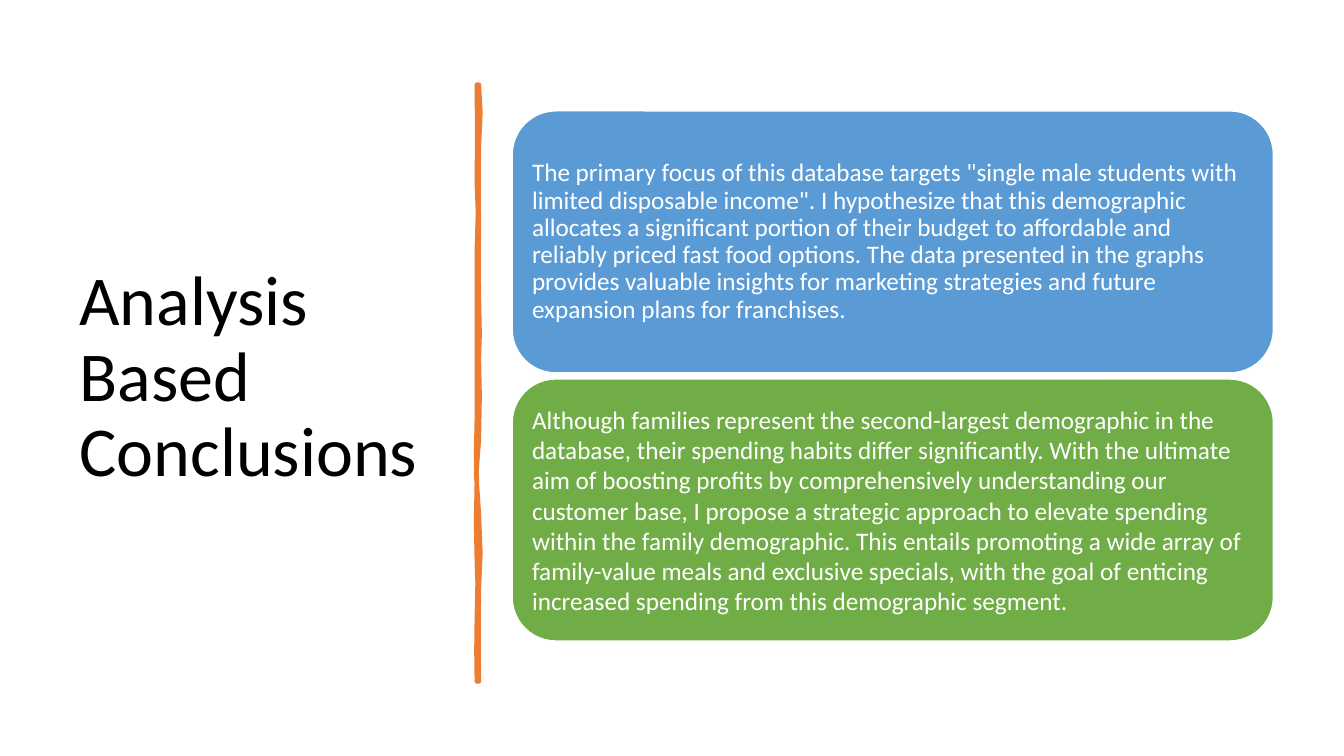
from pptx import Presentation
from pptx.dml.color import RGBColor
from pptx.enum.shapes import MSO_SHAPE as Shape
from pptx.enum.text import MSO_ANCHOR as Anchor, PP_ALIGN as Align
from pptx.util import Pt

PX = 9144  # EMU in one px, 100 px to the inch
BLANK_LAYOUT = 6
CURVE_STEPS = 2

TITLE = "Analysis Based Conclusions"
CONCLUSIONS = [
    ("5B9BD5", 0.9,
     'The primary focus of this database targets "single male students with limited '
     "disposable income\". I hypothesize that this demographic allocates a significant "
     "portion of their budget to affordable and reliably priced fast food options. The "
     "data presented in the graphs provides valuable insights for marketing strategies "
     "and future expansion plans for franchises."),
    ("70AD47", 1.0,
     "Although families represent the second-largest demographic in the database, their "
     "spending habits differ significantly. With the ultimate aim of boosting profits by "
     "comprehensively understanding our customer base, I propose a strategic approach to "
     "elevate spending within the family demographic. This entails promoting a wide array "
     "of family-value meals and exclusive specials, with the goal of enticing increased "
     "spending from this demographic segment."),
]

# Wavy divider: each curve has two control points and an end point
DIVIDER_START = (475, 84)
DIVIDER_CURVES = [
    # right edge, downwards
    ((477, 102), (477, 119), (475, 146)),
    ((473, 173), (476, 195), (475, 226)),
    ((474, 257), (475, 262), (475, 294)),
    ((475, 325), (477, 342), (475, 356)),
    ((473, 370), (479, 414), (475, 436)),
    ((471, 457), (472, 484), (475, 510)),
    ((477, 536), (477, 564), (475, 584)),
    ((473, 603), (476, 650), (475, 676)),
    # left edge, upwards
    ((474, 676), (473, 676), (473, 676)),
    ((474, 646), (471, 644), (473, 613)),
    ((474, 583), (474, 570), (473, 557)),
    ((472, 544), (472, 495), (473, 477)),
    ((473, 459), (471, 445), (473, 415)),
    ((474, 386), (472, 373), (473, 335)),
    ((474, 298), (472, 281), (473, 250)),
    ((474, 218), (475, 200), (473, 181)),
    ((470, 163), (477, 104), (473, 84)),
]


def color(hex_string):
    return RGBColor.from_string(hex_string)


def write_text(shape, text, size=18, font="Calibri", fill="FFFFFF",
               line_spacing=1.0, inset=10, inset_right=10):
    frame = shape.text_frame
    frame.word_wrap = True
    frame.vertical_anchor = Anchor.MIDDLE
    frame.margin_left = frame.margin_top = frame.margin_bottom = inset * PX
    frame.margin_right = inset_right * PX
    paragraph = frame.paragraphs[0]
    paragraph.alignment = Align.LEFT
    paragraph.line_spacing = line_spacing
    run = paragraph.add_run()
    run.text = text
    run.font.size = Pt(size)
    run.font.name = font
    run.font.color.rgb = color(fill)


def curve_points(start, curves):
    """Return points along a chain of cubic curves, in EMU."""
    points = []
    for first, second, end in curves:
        for step in range(1, CURVE_STEPS + 1):
            t = step / CURVE_STEPS
            u = 1 - t
            points.append(tuple(
                PX * (u**3 * a + 3 * u * u * t * b + 3 * u * t * t * c + t**3 * d)
                for a, b, c, d in zip(start, first, second, end)))
        start = end
    return points


class SlideBuilder:
    def __init__(self, slide):
        self.slide = slide
        self.title_color = "000000"
        self.divider_color = "ED7D31"
        self.border_color = "FFFFFF"

    def paint(self, shape, fill, line, width):
        shape.shadow.inherit = False
        shape.fill.solid()
        shape.fill.fore_color.rgb = color(fill)
        shape.line.color.rgb = color(line)
        shape.line.width = Pt(width)

    def title(self, text, left, top, width, height):
        box = self.slide.shapes.add_textbox(left * PX, top * PX, width * PX, height * PX)
        write_text(box, text, size=50, fill=self.title_color, line_spacing=0.9)

    def divider(self, start, curves):
        builder = self.slide.shapes.build_freeform(start[0] * PX, start[1] * PX)
        builder.add_line_segments(curve_points(start, curves), close=True)
        self.paint(builder.convert_to_shape(), self.divider_color, self.divider_color, 3.25)

    def card(self, text, left, top, width, height, fill, line_spacing):
        card = self.slide.shapes.add_shape(
            Shape.ROUNDED_RECTANGLE, left * PX, top * PX, width * PX, height * PX)
        self.paint(card, fill, self.border_color, 1)
        write_text(card, text, line_spacing=line_spacing, inset=7, inset_right=12)


def main():
    presentation = Presentation()
    presentation.slide_width = 1333 * PX
    presentation.slide_height = 750 * PX
    layout = presentation.slide_layouts[BLANK_LAYOUT]
    builder = SlideBuilder(presentation.slides.add_slide(layout))

    # Title and divider
    builder.title(TITLE, 69, 70, 374, 611)
    builder.divider(DIVIDER_START, DIVIDER_CURVES)

    # Conclusion cards, stacked at an equal pitch
    for row, (fill, line_spacing, text) in enumerate(CONCLUSIONS):
        builder.card(text, 508, 110 + row * 266, 755, 260, fill, line_spacing)

    presentation.save("out.pptx")


if __name__ == "__main__":
    main()
